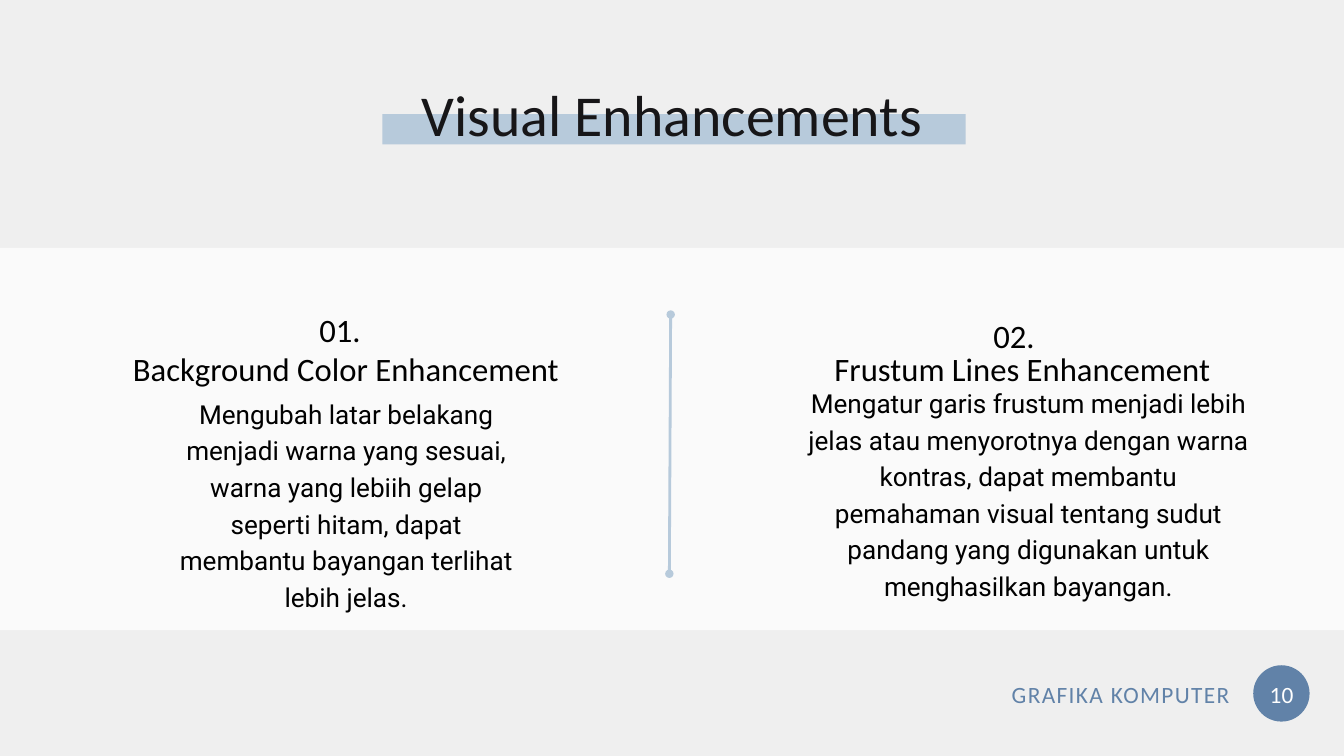
from lxml.etree import SubElement
from pptx import Presentation
from pptx.dml.color import RGBColor
from pptx.enum.shapes import MSO_CONNECTOR, MSO_SHAPE
from pptx.enum.text import MSO_ANCHOR, MSO_AUTO_SIZE, PP_ALIGN
from pptx.oxml.ns import qn
from pptx.util import Cm, Pt

PAGE = "EFEFEF"
PANEL = "FAFAFA"
PALE_BLUE = "B7CADB"
BLUE = "6182A8"
BLACK = "000000"
WIDTH, HEIGHT = 50.8, 28.58


def color(value):
    return RGBColor.from_string(value)


def write(shape, text, size, fill, font="Calibri", align=PP_ALIGN.CENTER):
    frame = shape.text_frame
    frame.text = text
    frame.word_wrap = True
    frame.auto_size = MSO_AUTO_SIZE.NONE
    frame.vertical_anchor = MSO_ANCHOR.TOP
    frame.margin_left = frame.margin_right = 0
    frame.margin_top = frame.margin_bottom = 0
    paragraph = frame.paragraphs[0]
    paragraph.alignment = align
    paragraph.line_spacing = Pt(size * 1.4)
    paragraph.font.name = font
    paragraph.font.size = Pt(size)
    paragraph.font.color.rgb = color(fill)
    return paragraph


def add_text(slide, box, *args, **options):
    shape = slide.shapes.add_textbox(*map(Cm, box))
    return write(shape, *args, **options)


def add_block(slide, kind, box, fill):
    shape = slide.shapes.add_shape(kind, *map(Cm, box))
    shape.shadow.inherit = False
    shape.fill.solid()
    shape.fill.fore_color.rgb = color(fill)
    shape.line.fill.background()


def add_title(slide, left, top, width, height):
    add_block(slide, MSO_SHAPE.RECTANGLE,
              (left + 1.37, top + 1.78, 22.05, 1.14), PALE_BLUE)
    title = slide.shapes.title
    title.left, title.top = Cm(left), Cm(top)
    title.width, title.height = Cm(width), Cm(height)
    write(title, "Visual Enhancements", 62, "171618")
    title._element.getparent().append(title._element)


def add_divider(slide, left, top, width, height):
    line = slide.shapes.add_connector(
        MSO_CONNECTOR.STRAIGHT,
        Cm(left), Cm(top + height), Cm(left + width), Cm(top))
    line.line.color.rgb = color(PALE_BLUE)
    line.line.width = Pt(3)
    outline = line.line._get_or_add_ln()
    for end in ("a:headEnd", "a:tailEnd"):
        SubElement(outline, qn(end), type="oval")
    SubElement(line._element.spPr, qn("a:effectLst"))


def add_column(slide, box, number, number_offset, heading, body, body_box):
    left, top, width = box
    number_left, number_top = number_offset
    body_left, body_top, body_width, body_height = body_box
    add_text(slide, (left + number_left, top + number_top, 3.66, 1.65),
             number, 35, BLACK)
    add_text(slide, (left, top + 1.47, width, 1.65), heading, 35, BLACK)
    add_text(slide, (left + body_left, top + body_top, body_width, body_height),
             body, 28, BLACK, font="Roboto")


def add_footer(slide, left, top):
    add_block(slide, MSO_SHAPE.OVAL, (left + 11.28, top, 2.13, 2.13), BLUE)
    add_text(slide, (left + 11.23, top + 0.4, 2.24, 1.17), "10", 25, "FFFFFF")
    label = add_text(slide, (left, top + 0.4, 10.39, 1.17),
                     "GRAFIKA KOMPUTER", 25, BLUE, align=PP_ALIGN.RIGHT)
    label.runs[0].font._element.set("spc", "150")


def main():
    presentation = Presentation()
    presentation.slide_width, presentation.slide_height = Cm(WIDTH), Cm(HEIGHT)
    slide = presentation.slides.add_slide(presentation.slide_layouts[5])
    slide.background.fill.solid()
    slide.background.fill.fore_color.rgb = color(PAGE)

    add_block(slide, MSO_SHAPE.RECTANGLE, (0, 9.37, WIDTH, 14.45), PANEL)
    add_divider(slide, 25.3, 11.89, 0.05, 9.8)
    add_column(
        slide, (4.01, 11.48, 18.14), "01.", (7.01, 0),
        "Background Color Enhancement",
        "Mengubah latar belakang menjadi warna yang sesuai, warna yang lebiih "
        "gelap seperti hitam, dapat membantu bayangan terlihat lebih jelas.",
        (2.39, 3.38, 13.36, 6.83))
    add_column(
        slide, (30.38, 11.48, 16.54), "02.", (6.12, 0.23),
        "Frustum Lines Enhancement",
        "Mengatur garis frustum menjadi lebih jelas atau menyorotnya dengan "
        "warna kontras, dapat membantu pemahaman visual tentang sudut pandang "
        "yang digunakan untuk menghasilkan bayangan.",
        (0, 2.97, 16.97, 8.2))
    add_footer(slide, 36.09, 25.15)
    add_title(slide, 13.08, 2.54, 24.64, 3)
    presentation.save("out.pptx")


if __name__ == "__main__":
    main()
